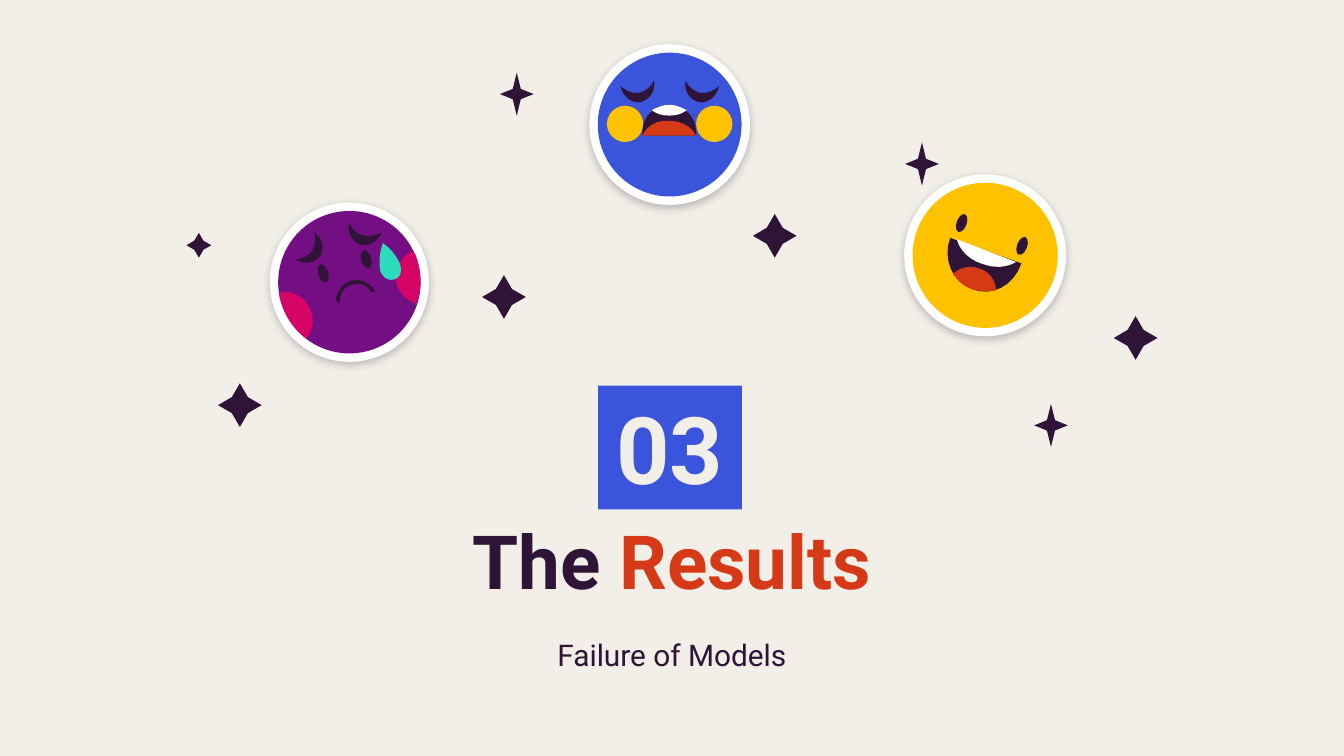
from dataclasses import dataclass

from lxml.etree import SubElement
from pptx import Presentation
from pptx.dml.color import RGBColor
from pptx.enum.shapes import MSO_SHAPE as Preset
from pptx.enum.text import MSO_ANCHOR as Anchor, MSO_AUTO_SIZE as AutoSize, PP_ALIGN as Align
from pptx.oxml.ns import qn
from pptx.util import Inches, Pt

COLUMNS, ROWS = 100, 56.25
CURVE_STEPS = 8


@dataclass(frozen=True)
class Theme:
    font: str = "Roboto"
    paper: str = "F1EFE7"
    ink: str = "2F1437"
    white: str = "FFFFFF"
    blue: str = "3A54DC"
    red: str = "D53915"
    yellow: str = "FEC200"
    purple: str = "730F83"
    pink: str = "D80367"
    mint: str = "2BDDBD"
    number_size: int = 50
    title_size: int = 40
    subtitle_size: int = 16
    ring_width: int = 9


def bezier(start, curve):
    x1, y1, x2, y2, x3, y3 = curve
    for step in range(1, CURVE_STEPS + 1):
        t = step / CURVE_STEPS
        weights = (1 - t) ** 3, 3 * t * (1 - t) ** 2, 3 * t * t * (1 - t), t ** 3
        yield (sum(w * x for w, x in zip(weights, (start[0], x1, x2, x3))),
               sum(w * y for w, y in zip(weights, (start[1], y1, y2, y3))))


def outline(start, *segments):
    points = [start]
    for segment in segments:
        points += [segment] if len(segment) == 2 else bezier(points[-1], segment)
    return points


def mirror(points, axis):
    return [(2 * axis - x, y) for x, y in points]


class SlideBuilder:
    def __init__(self, presentation, theme):
        self.theme = theme
        self.column = presentation.slide_width / COLUMNS
        self.row = presentation.slide_height / ROWS
        self.slide = presentation.slides.add_slide(presentation.slide_layouts[0])
        self.canvas = self.slide.shapes
        background = self.slide.background.fill
        background.solid()
        background.fore_color.rgb = RGBColor.from_string(theme.paper)

    def box(self, left, top, width, height):
        return (round(left * self.column), round(top * self.row),
                round(width * self.column), round(height * self.row))

    def paint(self, shape, color):
        shape.shadow.inherit = False
        shape.fill.solid()
        shape.fill.fore_color.rgb = RGBColor.from_string(color)
        shape.line.fill.background()
        return shape

    def add_text(self, shape, runs, size, bold, anchor, spacing=1.0):
        frame = shape.text_frame
        frame.word_wrap = True
        frame.auto_size = AutoSize.NONE
        frame.vertical_anchor = anchor
        frame.margin_left = frame.margin_right = Inches(0.1)
        frame.margin_top = frame.margin_bottom = Inches(0.1)
        paragraph = frame.paragraphs[0]
        paragraph.alignment = Align.CENTER
        paragraph.line_spacing = spacing
        paragraph.space_before = Pt(0)
        for text, color in runs:
            run = paragraph.add_run()
            run.text = text
            run.font.name = self.theme.font
            run.font.size = Pt(size)
            run.font.bold = bold
            run.font.color.rgb = RGBColor.from_string(color)

    def placeholder(self, index, box, runs, size, bold, anchor, spacing=1.0):
        shape = self.slide.placeholders[index]
        shape.left, shape.top, shape.width, shape.height = self.box(*box)
        self.add_text(shape, runs, size, bold, anchor, spacing)

    def badge(self, box, text):
        shape = self.slide.shapes.add_shape(Preset.RECTANGLE, *self.box(*box))
        self.paint(shape, self.theme.blue)
        self.add_text(shape, [(text, self.theme.paper)], self.theme.number_size, True, Anchor.MIDDLE)

    def oval(self, center, width, height, color, rotation=0):
        box = self.box(center[0] - width / 2, center[1] - height / 2, width, height)
        shape = self.paint(self.canvas.add_shape(Preset.OVAL, *box), color)
        shape.rotation = rotation
        return shape

    def face(self, center, diameter, color):
        self.canvas = self.slide.shapes.add_group_shape().shapes
        ring = self.oval(center, diameter, diameter, self.theme.white)
        ring.line.color.rgb = RGBColor.from_string(self.theme.white)
        ring.line.width = Pt(self.theme.ring_width)
        effects = ring._element.spPr.find(qn("a:effectLst"))
        shadow = SubElement(effects, qn("a:outerShdw"), blurRad=str(Pt(4.5)), dist=str(Pt(1.5)),
                            dir="5400000", algn="bl", rotWithShape="0")
        tint = SubElement(shadow, qn("a:srgbClr"), val=self.theme.ink)
        SubElement(tint, qn("a:alpha"), val="25000")
        self.oval(center, diameter, diameter, color)

    def patch(self, points, color):
        points = [(round(x * self.column), round(y * self.row)) for x, y in points]
        builder = self.canvas.build_freeform(*points[0])
        builder.add_line_segments(points[1:], close=True)
        self.paint(builder.convert_to_shape(), color)

    def star(self, center, width, height, waist):
        box = self.box(center[0] - width / 2, center[1] - height / 2, width, height)
        shape = self.slide.shapes.add_shape(Preset.STAR_4_POINT, *box)
        shape.adjustments[0] = waist
        self.paint(shape, self.theme.ink)


def draw_laughing_face(builder, theme):
    builder.face((73.3, 19), 10.8, theme.yellow)
    builder.patch(outline((70.7, 17.7), (70.1, 19.3, 70.9, 21, 72.3, 21.5),
                          (73.8, 22.1, 75.4, 21.3, 76, 19.6)), theme.ink)
    builder.patch(outline((70.9, 20.4), (71.3, 20.9, 71.7, 21.3, 72.3, 21.5),
                          (72.9, 21.7, 73.6, 21.7, 74.1, 21.6),
                          (74.1, 20.9, 73.6, 20.2, 72.9, 20),
                          (72.2, 19.7, 71.4, 19.9, 70.9, 20.4)), theme.red)
    builder.patch(outline((73, 19.6), (74, 20, 74.9, 19.9, 75.6, 19.5), (71.2, 17.8),
                          (71.4, 18.6, 72.1, 19.3, 73, 19.6)), theme.white)
    for center in ((71.55, 16.6), (76.05, 18.3)):
        builder.oval(center, 0.75, 1.4, theme.ink, 20.6)


def draw_worried_face(builder, theme):
    builder.face((26, 21), 10.6, theme.purple)
    for center in ((24.05, 20.35), (27.25, 19.3)):
        builder.oval(center, 0.75, 1.4, theme.ink, -17.3)
    builder.patch(outline((27, 17.5), (27.5, 17.7, 28, 17.5, 28.4, 17.3),
                          (28.1, 18, 27.4, 18.4, 26.8, 18.2), (26.1, 17.9, 25.8, 17.2, 26, 16.5),
                          (26.1, 16.9, 26.5, 17.4, 27, 17.5)), theme.ink)
    builder.patch(outline((23.2, 18.7), (22.9, 19.1, 22.4, 19.3, 22, 19.3),
                          (22.6, 19.7, 23.4, 19.6, 23.8, 19.1), (24.2, 18.5, 24, 17.7, 23.4, 17.3),
                          (23.5, 17.7, 23.5, 18.3, 23.2, 18.7)), theme.ink)
    builder.patch(outline((20.8, 21.8), (20.8, 22.1), (21.1, 23.4, 21.8, 24.4, 22.8, 25.2),
                          (23.2, 24.7, 23.4, 24, 23.2, 23.4),
                          (23, 22.3, 21.9, 21.5, 20.8, 21.8)), theme.pink)
    builder.patch(outline((30.7, 18.7), (30.9, 18.9), (31.4, 20.2, 31.4, 21.5, 31, 22.6),
                          (30.4, 22.4, 29.9, 22, 29.6, 21.4),
                          (29.2, 20.3, 29.7, 19.1, 30.7, 18.7)), theme.pink)
    builder.patch(outline((28.5, 18.1), (29.1, 18.5, 29.7, 19.3, 29.8, 19.8),
                          (29.9, 20.2, 29.8, 20.7, 29.3, 20.8), (28.8, 20.9, 28.5, 20.6, 28.3, 20.2),
                          (28.2, 19.7, 28.2, 18.8, 28.5, 18.1)), theme.mint)
    builder.patch(outline((26.1, 20.9), (26.8, 20.7, 27.4, 21, 27.8, 21.5),
                          (27.9, 21.6, 27.9, 21.7, 27.8, 21.7), (27.7, 21.8, 27.7, 21.7, 27.6, 21.7),
                          (27.3, 21.2, 26.8, 21, 26.2, 21.2), (25.7, 21.3, 25.3, 21.8, 25.3, 22.3),
                          (25.3, 22.4, 25.3, 22.5, 25.2, 22.5), (25.1, 22.5, 25, 22.4, 25, 22.3),
                          (25.1, 21.7, 25.5, 21.1, 26.1, 20.9)), theme.ink)


def draw_crying_face(builder, theme):
    axis = 49.83
    builder.face((axis, 9.27), 10.7, theme.blue)
    brow = outline((52.1, 6.9), (51.6, 6.8, 51.2, 6.4, 51, 6), (50.9, 6.8, 51.3, 7.4, 52, 7.6),
                   (52.7, 7.7, 53.3, 7.2, 53.5, 6.4), (53.2, 6.7, 52.6, 7, 52.1, 6.9))
    for points in (brow, mirror(brow, axis)):
        builder.patch(points, theme.ink)
    for side in (-1, 1):
        builder.oval((axis + side * 3.32, 9.22), 2.7, 2.7, theme.yellow)
    builder.patch(outline((51.8, 10.1), (51.8, 9.8), (51.8, 8.7, 50.9, 7.8, 49.8, 7.8),
                          (48.7, 7.8, 47.8, 8.7, 47.8, 9.8), (47.8, 10.1)), theme.ink)
    builder.patch(outline((51.8, 10.1), (51.5, 9.5, 50.8, 9, 49.8, 9),
                          (48.9, 8.9, 48.1, 9.4, 47.8, 10.1)), theme.red)
    builder.patch(outline((51.1, 8.2), (50.7, 8, 50.3, 7.8, 49.8, 7.8), (49.3, 7.8, 48.9, 8, 48.5, 8.2),
                          (48.9, 8.5, 49.3, 8.6, 49.8, 8.6),
                          (50.3, 8.6, 50.7, 8.5, 51.1, 8.2)), theme.white)


def main():
    theme = Theme()
    presentation = Presentation()
    presentation.slide_width, presentation.slide_height = Inches(10), Inches(5.625)
    builder = SlideBuilder(presentation, theme)
    builder.placeholder(1, (18.6, 46, 62.8, 4.4), [("Failure of Models", theme.ink)],
                        theme.subtitle_size, False, Anchor.TOP, 1.15)
    builder.placeholder(0, (18.6, 38.4, 62.8, 7.6), [("The ", theme.ink), ("Results", theme.red)],
                        theme.title_size, True, Anchor.BOTTOM)
    builder.badge((44.5, 28.7, 10.7, 9.2), "03")
    draw_laughing_face(builder, theme)
    draw_worried_face(builder, theme)
    draw_crying_face(builder, theme)
    for center in ((78.2, 31.65), (68.6, 12.2), (38.45, 7)):
        builder.star(center, 2.5, 3.2, 0.17)
    for center in ((84.5, 25.15), (57.65, 17.55), (37.5, 22.1), (17.85, 30.15)):
        builder.star(center, 3.25, 3.25, 0.26)
    builder.star((14.8, 18.25), 1.85, 1.85, 0.26)
    presentation.save("out.pptx")


if __name__ == "__main__":
    main()
